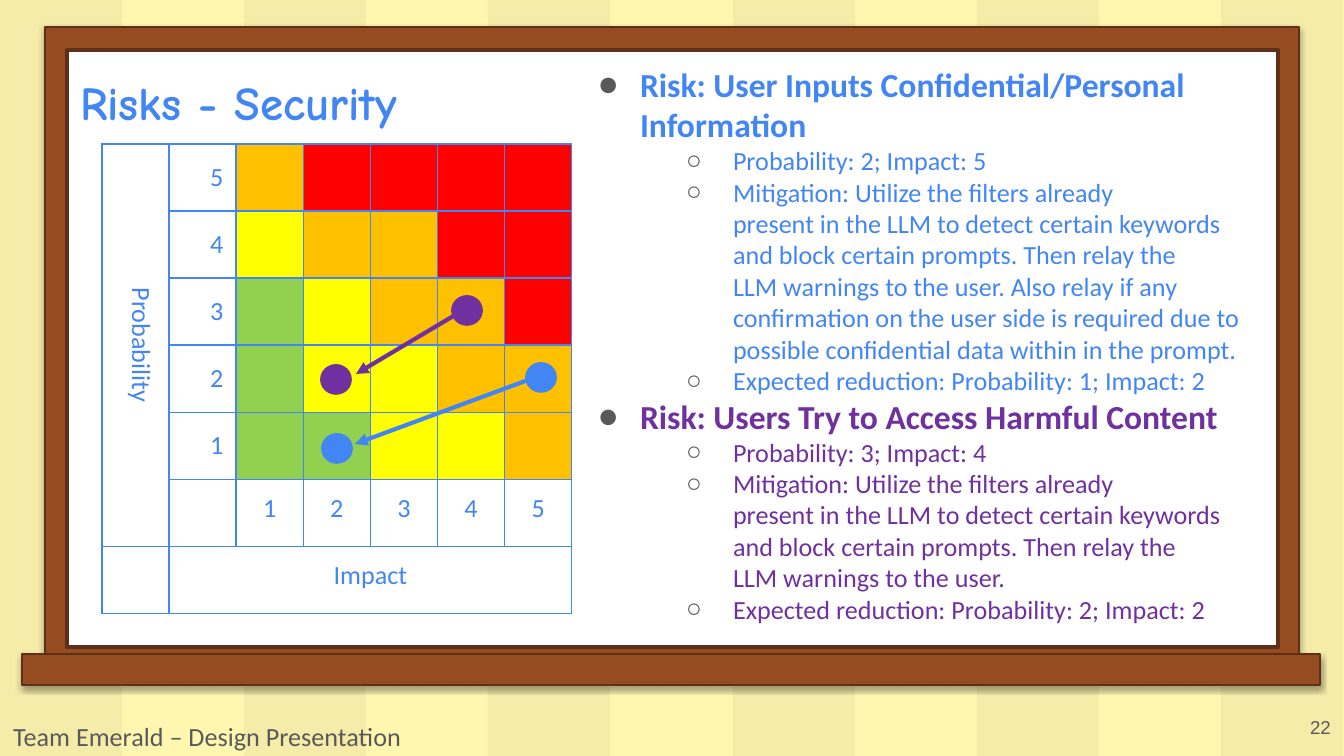
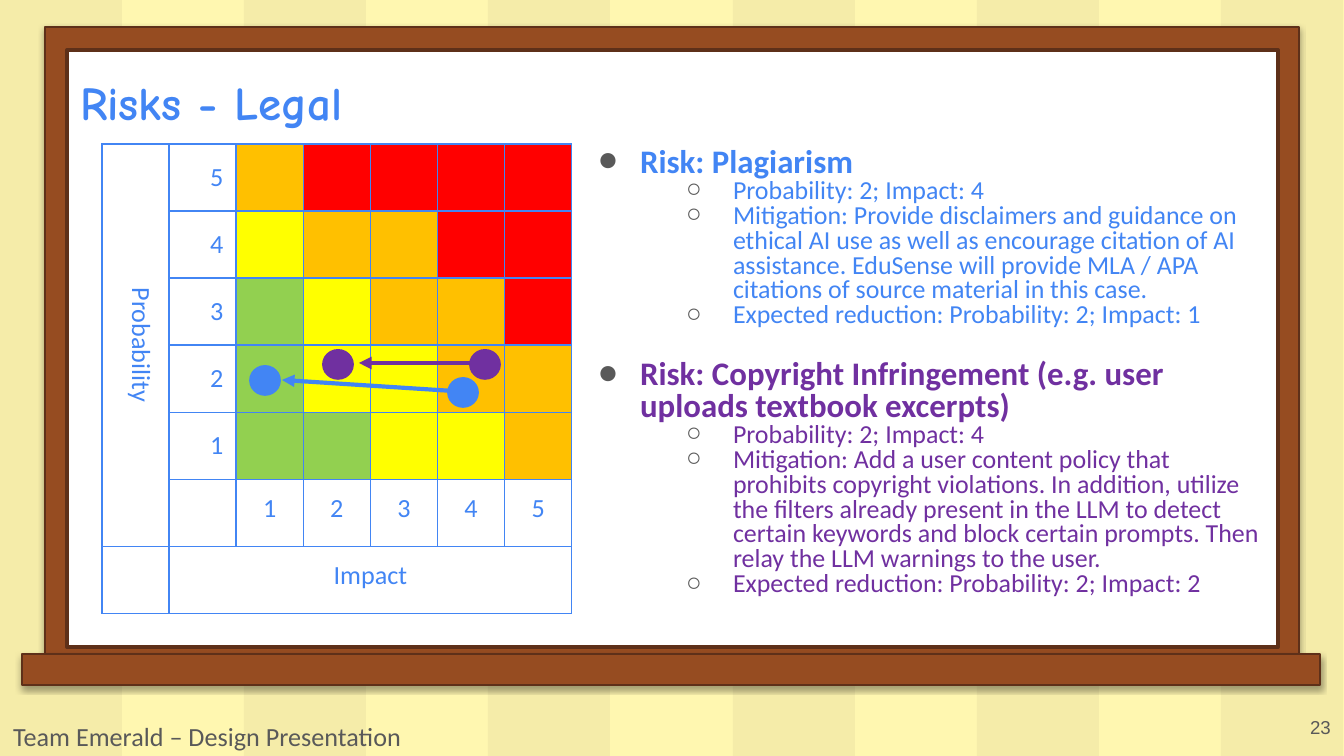
from lxml import etree
from pptx import Presentation
from pptx.dml.color import RGBColor
from pptx.enum.shapes import MSO_CONNECTOR, MSO_SHAPE
from pptx.enum.text import MSO_ANCHOR, MSO_AUTO_SIZE, PP_ALIGN
from pptx.oxml.ns import qn
from pptx.util import Emu, Pt

RECTANGLE, OVAL = MSO_SHAPE.RECTANGLE, MSO_SHAPE.OVAL
STRAIGHT = MSO_CONNECTOR.STRAIGHT
TOP, MIDDLE = MSO_ANCHOR.TOP, MSO_ANCHOR.MIDDLE
LEFT, CENTER, RIGHT = PP_ALIGN.LEFT, PP_ALIGN.CENTER, PP_ALIGN.RIGHT
NO_FIT = MSO_AUTO_SIZE.NONE

EMU_PER_PX = 914400 / 134.4
PAGE_WIDTH, PAGE_HEIGHT = 1344, 756
CREAM, STRIPE, WOOD, WOOD_EDGE = "FFF7B0", "F5ECA9", "964C21", "5E3019"
WHITE, GRAY, BLUE, PURPLE = "FFFFFF", "595959", "4285F4", "7030A0"
BODY_FONT, TITLE_FONT, PLAIN_FONT = "Calibri", "Comic Neue", "Arial"
SEVERITY = {"G": "92D050", "Y": "FFFF00", "O": "FFC000", "R": "FF0000"}
MATRIX = ["ORRRR", "YOORR", "GYOOR", "GYYOO", "GGYYO"]
MATRIX_SIDE = 470
INSET = 13
TIE, HARD_SPACE = "~", chr(160)

SECURITY = {
    "title": "Risks - Security", "number": "22",
    "body": (585, 51, 692, 605), "sizes": (18, 14), "spacing": 1.0, "gap": 0,
    "risks": [
        (BLUE, "Risk: User Inputs Confidential/Personal Information", [
            "Probability: 2; Impact: 5",
            "Mitigation: Utilize the filters already present~in~the LLM~to detect certain keywords "
            "and~block certain~prompts. Then relay the LLM~warnings to the~user. Also relay if any "
            "confirmation on the user side is required due to possible confidential data within in "
            "the~prompt.",
            "Expected reduction: Probability: 1; Impact: 2"]),
        (PURPLE, "Risk: Users Try to Access Harmful Content", [
            "Probability: 3; Impact: 4",
            "Mitigation: Utilize the filters already present~in~the LLM~to detect certain keywords "
            "and~block certain~prompts. Then relay the LLM~warnings to the user.",
            "Expected reduction: Probability: 2;~Impact: 2"])],
    "dots": [(BLUE, 527, 364), (BLUE, 323, 435), (PURPLE, 453, 297), (PURPLE, 322, 366)],
    "arrows": [(BLUE, 539, 376, 355, 444), (PURPLE, 477, 302, 356, 374)],
}
LEGAL = {
    "title": "Risks - Legal", "number": "23",
    "body": (585, 135, 692, 513), "sizes": (17.6, 13.9), "spacing": 0.8, "gap": 17,
    "risks": [
        (BLUE, "Risk: Plagiarism", [
            "Probability: 2; Impact: 4",
            "Mitigation: Provide disclaimers and guidance on ethical AI use as well as encourage "
            "citation of AI assistance. EduSense will provide MLA / APA citations of source "
            "material in this case.",
            "Expected reduction: Probability: 2; Impact: 1"]),
        (PURPLE, "Risk:~Copyright Infringement (e.g. user uploads textbook excerpts)", [
            "Probability: 2; Impact:~4",
            "Mitigation: Add a user content policy that prohibits copyright violations. In "
            "addition, utilize the filters already present~in~the LLM~to detect certain keywords "
            "and block certain~prompts. Then relay the LLM~warnings to the~user.",
            "Expected reduction: Probability: 2; Impact:~2"])],
    "dots": [(BLUE, 449, 379), (BLUE, 251, 367), (PURPLE, 471, 351), (PURPLE, 324, 351)],
    "arrows": [(BLUE, 453, 391, 282, 380), (PURPLE, 477, 363, 359, 363)],
}


def px(length):
    """Turn pixels into EMU."""
    return Emu(round(length * EMU_PER_PX))


def color(code):
    """Turn a hex string into a colour."""
    return RGBColor.from_string(code)


def add_node(parent, tag, **attributes):
    """Append a DrawingML element and return it."""
    return etree.SubElement(parent, qn(tag), {key: str(value) for key, value in attributes.items()})


def add_span(para, text, size, code, font=BODY_FONT, bold=False):
    """Add one formatted run, with ties as non-breaking spaces."""
    span = para.add_run()
    span.text = text.replace(TIE, HARD_SPACE)
    span.font.size, span.font.name, span.font.bold = Pt(size), font, bold
    span.font.color.rgb = color(code)


def add_block(page, kind, bounds, fill, edge=None, weight=1):
    """Add a flat preset shape."""
    block = page.shapes.add_shape(kind, *map(px, bounds))
    block.shadow.inherit = False
    block.fill.solid()
    block.fill.fore_color.rgb = color(fill)
    if edge:
        block.line.color.rgb = color(edge)
        block.line.width = Pt(weight)
    else:
        block.line.fill.background()
    return block


def add_wood(page, bounds):
    """Add a wooden board with a soft shadow below it."""
    board = add_block(page, RECTANGLE, bounds, WOOD, WOOD_EDGE, 0.75)
    effects = board.element.spPr.find(qn("a:effectLst"))
    shadow = add_node(effects, "a:outerShdw", blurRad=Pt(3.1), dist=Pt(1.8), dir=5400000, algn="t",
                      rotWithShape=0)
    add_node(add_node(shadow, "a:srgbClr", val="000000"), "a:alpha", val=35000)


def add_label(page, bounds, text, size, code, font=BODY_FONT, align=LEFT, anchor=TOP):
    """Add a one-line text box."""
    box = page.shapes.add_textbox(*map(px, bounds))
    box.text_frame.word_wrap = True
    box.text_frame.vertical_anchor = anchor
    para = box.text_frame.paragraphs[0]
    para.alignment = align
    add_span(para, text, size, code, font)
    return box


def place(page, box, bounds, anchor):
    """Move a placeholder to the front and return its frame."""
    page.shapes.element.append(box.element)
    box.left, box.top, box.width, box.height = map(px, bounds)
    frame = box.text_frame
    frame.word_wrap, frame.auto_size, frame.vertical_anchor = True, NO_FIT, anchor
    frame.margin_left = frame.margin_right = frame.margin_top = frame.margin_bottom = px(INSET)
    return frame


def add_title(page, text):
    """Fill the title placeholder."""
    frame = place(page, page.shapes.title, (67, 59, 1253, 85), MIDDLE)
    para = frame.paragraphs[0]
    para.alignment = LEFT
    add_span(para, text, 25.2, BLUE, TITLE_FONT, True)


def set_bullet(para, level, symbol, font, indent, hang):
    """Give a paragraph its level, hanging indent and bullet."""
    para.level = level
    properties = para._p.get_or_add_pPr()
    properties.set("marL", str(px(indent)))
    properties.set("indent", str(-px(hang)))
    add_node(add_node(properties, "a:buClr"), "a:srgbClr", val=GRAY)
    add_node(properties, "a:buFont", typeface=font)
    add_node(properties, "a:buChar", char=symbol)


def add_risks(page, topic):
    """Fill the body placeholder with risks and their details."""
    frame = place(page, page.placeholders[1], topic["body"], TOP)
    heading_size, detail_size = topic["sizes"]
    para = frame.paragraphs[0]
    for index, (code, heading, details) in enumerate(topic["risks"]):
        if index:
            para = frame.add_paragraph()
        set_bullet(para, 0, "●", BODY_FONT, 42, 42)
        para.space_before = Pt(topic["gap"] if index else 0)
        para.line_spacing = topic["spacing"]
        add_span(para, heading, heading_size, code, bold=True)
        for detail in details:
            para = frame.add_paragraph()
            set_bullet(para, 1, "○", PLAIN_FONT, 135, 47)
            para.space_before = Pt(0)
            para.line_spacing = topic["spacing"]
            add_span(para, detail, detail_size, code)


def format_cell(cell):
    """Clear the fill of a cell and draw its borders."""
    cell.margin_left = cell.margin_right = cell.margin_top = cell.margin_bottom = px(INSET)
    cell.text_frame.paragraphs[0].font.size = Pt(14)
    properties = cell._tc.get_or_add_tcPr()
    for side in ("a:lnL", "a:lnR", "a:lnT", "a:lnB"):
        border = add_node(properties, side, w=Pt(1))
        add_node(add_node(border, "a:solidFill"), "a:srgbClr", val=BLUE)
    cell.fill.background()


def write_cell(cell, text, align, anchor=TOP):
    """Write a matrix label into a cell."""
    cell.vertical_anchor = anchor
    para = cell.text_frame.paragraphs[0]
    para.alignment = align
    add_span(para, text, 14, BLUE)


def add_matrix(page):
    """Add the probability and impact matrix."""
    side = px(MATRIX_SIDE)
    table = page.shapes.add_table(7, 7, px(102), px(144), side, side).table
    table.first_row = table.horz_banding = False
    for column in table.columns:
        column.width = px(MATRIX_SIDE / 7)
    for row in table.rows:
        row.height = px(MATRIX_SIDE / 7)
    for cell in table.iter_cells():
        format_cell(cell)
    for row, letters in enumerate(MATRIX):
        write_cell(table.cell(row, 1), str(5 - row), RIGHT, MIDDLE)
        write_cell(table.cell(5, row + 2), str(row + 1), CENTER)
        for column, letter in enumerate(letters, 2):
            fill = table.cell(row, column).fill
            fill.solid()
            fill.fore_color.rgb = color(SEVERITY[letter])
    table.cell(0, 0).merge(table.cell(5, 0))
    table.cell(6, 1).merge(table.cell(6, 6))
    write_cell(table.cell(6, 1), "Impact", CENTER)
    add_label(page, (-61, 322, 406, 46), "Probability", 14, BLUE, align=CENTER).rotation = 90


def add_arrow(page, code, *ends):
    """Add a straight arrow."""
    arrow = page.shapes.add_connector(STRAIGHT, *map(px, ends))
    arrow.line.color.rgb = color(code)
    arrow.line.width = Pt(2.25)
    add_node(arrow.line._get_or_add_ln(), "a:tailEnd", type="triangle")
    add_node(arrow.element.spPr, "a:effectLst")


def add_backdrop(page):
    """Draw the striped wall and the whiteboard."""
    page.background.fill.solid()
    page.background.fill.fore_color.rgb = color(CREAM)
    for index in range(0, 11, 2):
        add_block(page, RECTANGLE, (PAGE_WIDTH * index // 11, 0, 122, PAGE_HEIGHT), STRIPE)
    add_wood(page, (45, 27, 1254, 642))
    add_block(page, RECTANGLE, (67, 50, 1211, 597), WHITE, WOOD_EDGE, 2)


def add_page(deck, topic):
    """Build one risk slide."""
    page = deck.slides.add_slide(deck.slide_layouts[1])
    add_backdrop(page)
    add_title(page, topic["title"])
    add_risks(page, topic)
    add_label(page, (1263, 698, 81, 58), topic["number"], 10, GRAY, PLAIN_FONT, RIGHT, MIDDLE)
    add_wood(page, (22, 654, 1298, 31))
    add_matrix(page)
    for code, left, top in topic["dots"]:
        add_block(page, OVAL, (left, top, 28, 27), code, code, 2)
    for arrow in topic["arrows"]:
        add_arrow(page, *arrow)
    add_label(page, (0, 714, 566, 46), "Team Emerald – Design Presentation", 14, GRAY)


def main():
    """Build and save the deck."""
    deck = Presentation()
    deck.slide_width, deck.slide_height = px(PAGE_WIDTH), px(PAGE_HEIGHT)
    for topic in (SECURITY, LEGAL):
        add_page(deck, topic)
    deck.save("out.pptx")


if __name__ == "__main__":
    main()
